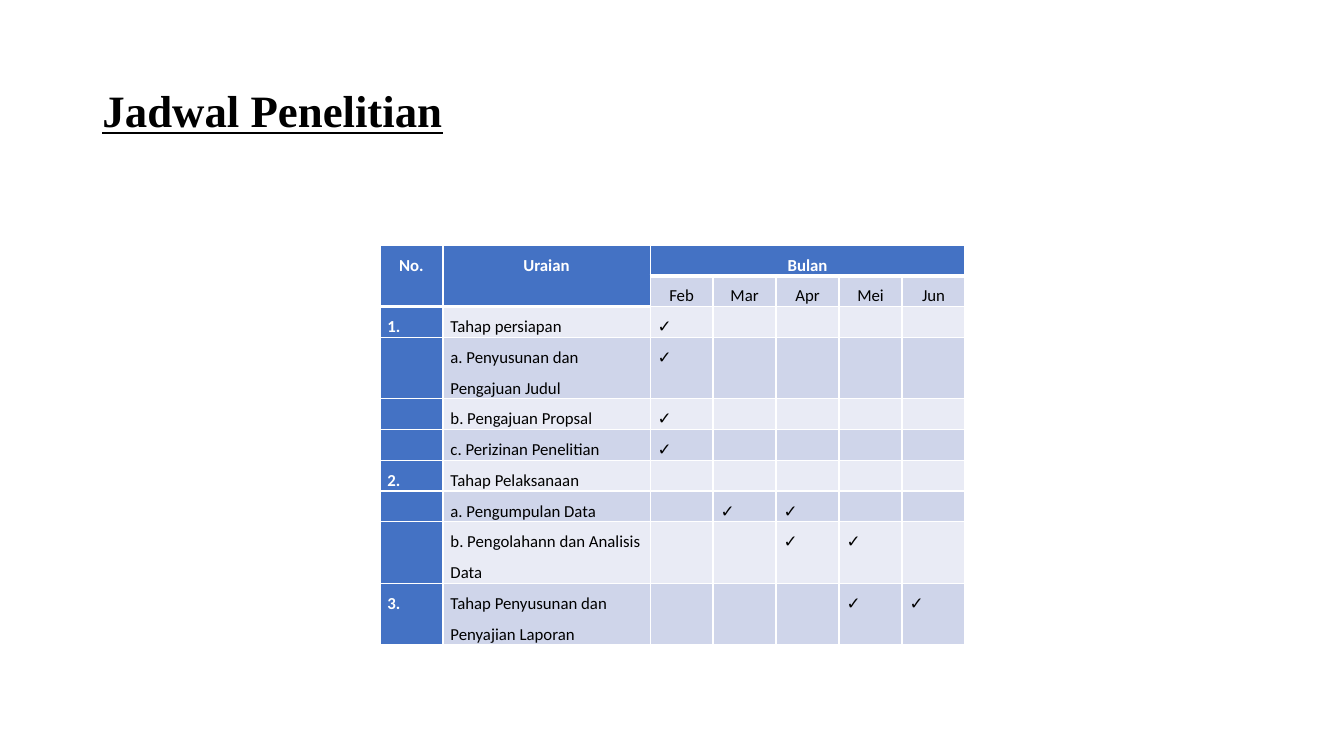
from lxml import etree
from pptx import Presentation
from pptx.dml.color import RGBColor
from pptx.enum.text import MSO_ANCHOR, PP_ALIGN
from pptx.oxml.ns import qn
from pptx.util import Pt

LEFT, CENTER = PP_ALIGN.LEFT, PP_ALIGN.CENTER
MIDDLE = MSO_ANCHOR.MIDDLE

BLACK = RGBColor(0x00, 0x00, 0x00)
WHITE = RGBColor(0xFF, 0xFF, 0xFF)
BLUE = RGBColor(0x44, 0x72, 0xC4)
BAND_DARK = RGBColor(0xCF, 0xD5, 0xEA)
BAND_LIGHT = RGBColor(0xE9, 0xEB, 0xF5)

MONTHS = ["Feb", "Mar", "Apr", "Mei", "Jun"]
ONE_LINE, TWO_LINES = 21.6, 41
COLUMN_WIDTHS = [45, 148] + [45] * len(MONTHS)

# number, activity, months in which it takes place, row height
ACTIVITIES = [
    ("1.", "Tahap persiapan", ["Feb"], ONE_LINE),
    ("", "a. Penyusunan dan Pengajuan Judul", ["Feb"], TWO_LINES),
    ("", "b. Pengajuan Propsal", ["Feb"], ONE_LINE),
    ("", "c. Perizinan Penelitian", ["Feb"], ONE_LINE),
    ("2.", "Tahap Pelaksanaan", [], ONE_LINE),
    ("", "a. Pengumpulan Data", ["Mar", "Apr"], ONE_LINE),
    ("", "b. Pengolahann dan Analisis Data", ["Apr", "Mei"], TWO_LINES),
    ("3.", "Tahap Penyusunan dan Penyajian Laporan", ["Mei", "Jun"], TWO_LINES),
]


def add_span(para, text, font_name, size, color, bold):
    span = para.add_run()
    span.text = text
    span.font.name = font_name
    span.font.size = Pt(size)
    span.font.color.rgb = color
    span.font.bold = bold
    return span


def set_borders(cell, bottom_width):
    """Draw white cell borders, 1 pt except at the bottom."""
    properties = cell._tc.get_or_add_tcPr()
    for side, width in (("L", 1), ("R", 1), ("T", 1), ("B", bottom_width)):
        line = etree.SubElement(properties, qn(f"a:ln{side}"), w=str(Pt(width)))
        fill = etree.SubElement(line, qn("a:solidFill"))
        etree.SubElement(fill, qn("a:srgbClr"), val=str(WHITE))


deck = Presentation()
deck.slide_width, deck.slide_height = Pt(960), Pt(540)
page = deck.slides.add_slide(deck.slide_layouts[5])

title = page.shapes.title
title.left, title.top, title.width, title.height = Pt(66), Pt(28.75), Pt(828), Pt(104.4)
title.text_frame.vertical_anchor = MIDDLE
para = title.text_frame.paragraphs[0]
para.alignment = LEFT
para.line_spacing = 0.9
heading = add_span(para, "Jadwal Penelitian", "Times New Roman", 32, BLACK, True)
heading.font.underline = True

rows = [["No.", "Uraian", "Bulan", "", "", "", ""], ["", ""] + MONTHS]
row_heights = [ONE_LINE, ONE_LINE]
for number, activity, active_months, height in ACTIVITIES:
    checks = ["✓" if month in active_months else "" for month in MONTHS]
    rows.append([number, activity] + checks)
    row_heights.append(height)

schedule = page.shapes.add_table(
    len(rows), len(COLUMN_WIDTHS), Pt(271.4), Pt(175),
    Pt(sum(COLUMN_WIDTHS)), Pt(sum(row_heights))).table
for column, width in zip(schedule.columns, COLUMN_WIDTHS):
    column.width = Pt(width)
for row, height in zip(schedule.rows, row_heights):
    row.height = Pt(height)

for row_index, texts in enumerate(rows):
    for column_index, text in enumerate(texts):
        cell = schedule.cell(row_index, column_index)
        is_header = row_index == 0 or (row_index == 1 and column_index < 2)
        is_blue = is_header or column_index == 0
        set_borders(cell, 3 if is_header else 1)
        cell.fill.solid()
        band = BAND_DARK if row_index % 2 else BAND_LIGHT
        cell.fill.fore_color.rgb = BLUE if is_blue else band
        cell.margin_left = cell.margin_right = Pt(5.4)
        cell.margin_top = cell.margin_bottom = Pt(0)
        para = cell.text_frame.paragraphs[0]
        para.alignment = CENTER if row_index < 2 else LEFT
        para.line_spacing = 1.5
        if text:
            add_span(para, text, "Calibri", 12, WHITE if is_blue else BLACK, is_blue)
        else:
            etree.SubElement(para._p, qn("a:endParaRPr"), sz="1200")

schedule.cell(0, 0).merge(schedule.cell(1, 0))
schedule.cell(0, 1).merge(schedule.cell(1, 1))
schedule.cell(0, 2).merge(schedule.cell(0, 6))

deck.save("out.pptx")
